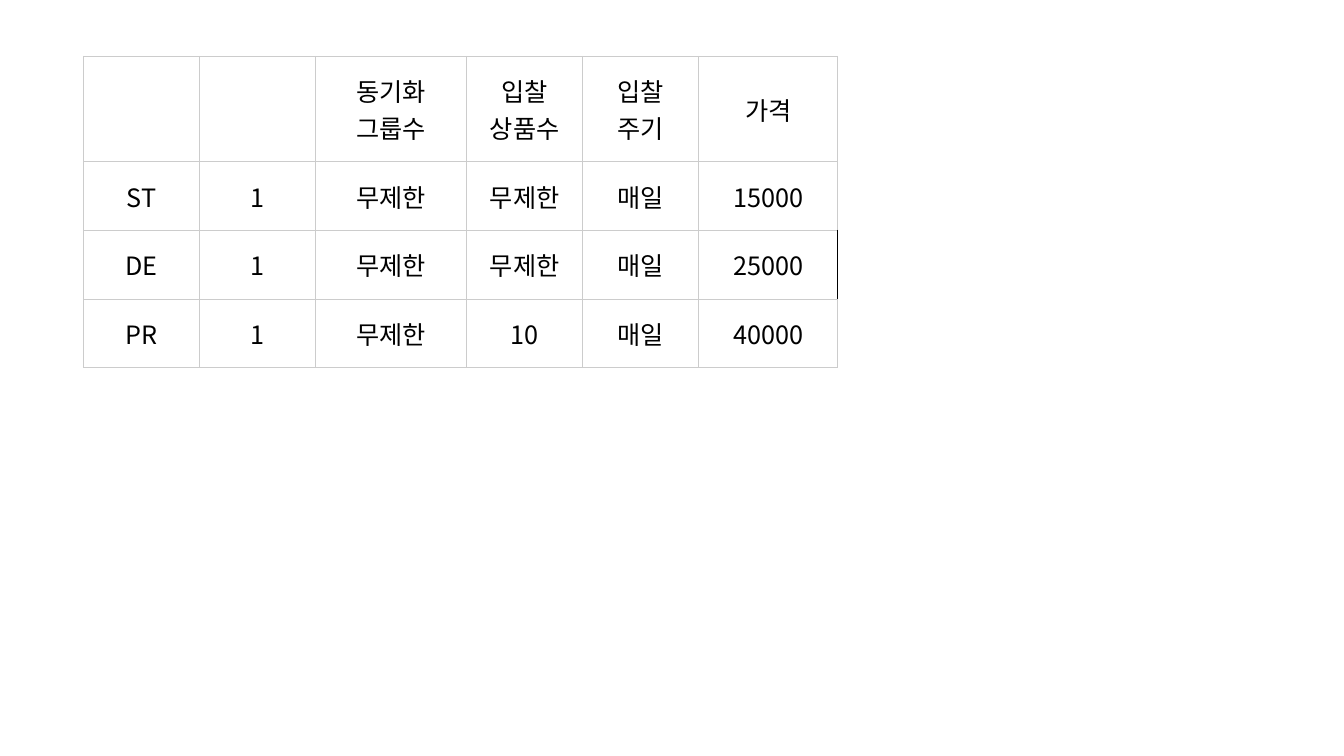
from lxml.etree import SubElement
from pptx import Presentation
from pptx.dml.color import RGBColor
from pptx.enum.text import MSO_ANCHOR, PP_ALIGN
from pptx.oxml import parse_xml
from pptx.oxml.ns import nsdecls, qn
from pptx.util import Inches, Pt

ROWS = [
    ["", "", "동기화\v그룹수", "입찰\n상품수", "입찰\v주기", "가격"],
    ["ST", "1", "무제한", "무제한", "매일", "15000"],
    ["DE", "1", "무제한", "무제한", "매일", "25000"],
    ["PR", "1", "무제한", "10", "매일", "40000"],
]
COL_WIDTHS = [1.15, 1.15, 1.5, 1.15, 1.15, 1.38]
ROW_HEIGHTS = [1.04, 0.68, 0.68, 0.68]
LEFT, TOP = 0.83, 0.56
FONT, SIZE = "Noto Sans CJK KR", 18
TEXT, GRID = "000000", "CCCCCC"
BORDERS = {(2, 5, "R"): TEXT}
CELL_FORMAT = {
    "margin_left": 0,
    "margin_right": 0,
    "margin_top": Inches(0.16),
    "margin_bottom": Inches(0.16),
    "vertical_anchor": MSO_ANCHOR.MIDDLE,
}


def color(value):
    return RGBColor.from_string(value)


def border(side, value):
    return parse_xml(
        f'<a:ln{side} {nsdecls("a")} w="{Pt(0.75)}"><a:solidFill>'
        f'<a:srgbClr val="{color(value)}"/></a:solidFill></a:ln{side}>'
    )


def format_cell(cell, text, row, col):
    cell.text = text
    cell.fill.background()
    for name, value in CELL_FORMAT.items():
        setattr(cell, name, value)
    for p in cell.text_frame.paragraphs:
        p.alignment = PP_ALIGN.CENTER
        for r in p.runs:
            for name, value in {"name": FONT, "size": Pt(SIZE)}.items():
                setattr(r.font, name, value)
            r.font.color.rgb = color(TEXT)
            SubElement(r.font._element, qn("a:ea"), typeface=FONT)
    tc_pr = cell._tc.get_or_add_tcPr()
    for i, side in enumerate("LRTB"):
        tc_pr.insert(i, border(side, BORDERS.get((row, col, side), GRID)))


def main():
    """Build the pricing plan table slide."""
    prs = Presentation()
    prs.slide_width, prs.slide_height = Inches(13.33), Inches(7.5)
    s = prs.slides.add_slide(prs.slide_layouts[6])
    table = s.shapes.add_table(
        len(ROWS), len(COL_WIDTHS), Inches(LEFT), Inches(TOP),
        Inches(sum(COL_WIDTHS)), Inches(sum(ROW_HEIGHTS)),
    ).table
    table.first_row = table.horz_banding = False
    for column, width in zip(table.columns, COL_WIDTHS):
        column.width = Inches(width)
    for row, height in zip(table.rows, ROW_HEIGHTS):
        row.height = Inches(height)
    for i, texts in enumerate(ROWS):
        for j, text in enumerate(texts):
            format_cell(table.cell(i, j), text, i, j)
    prs.save("out.pptx")


if __name__ == "__main__":
    main()
